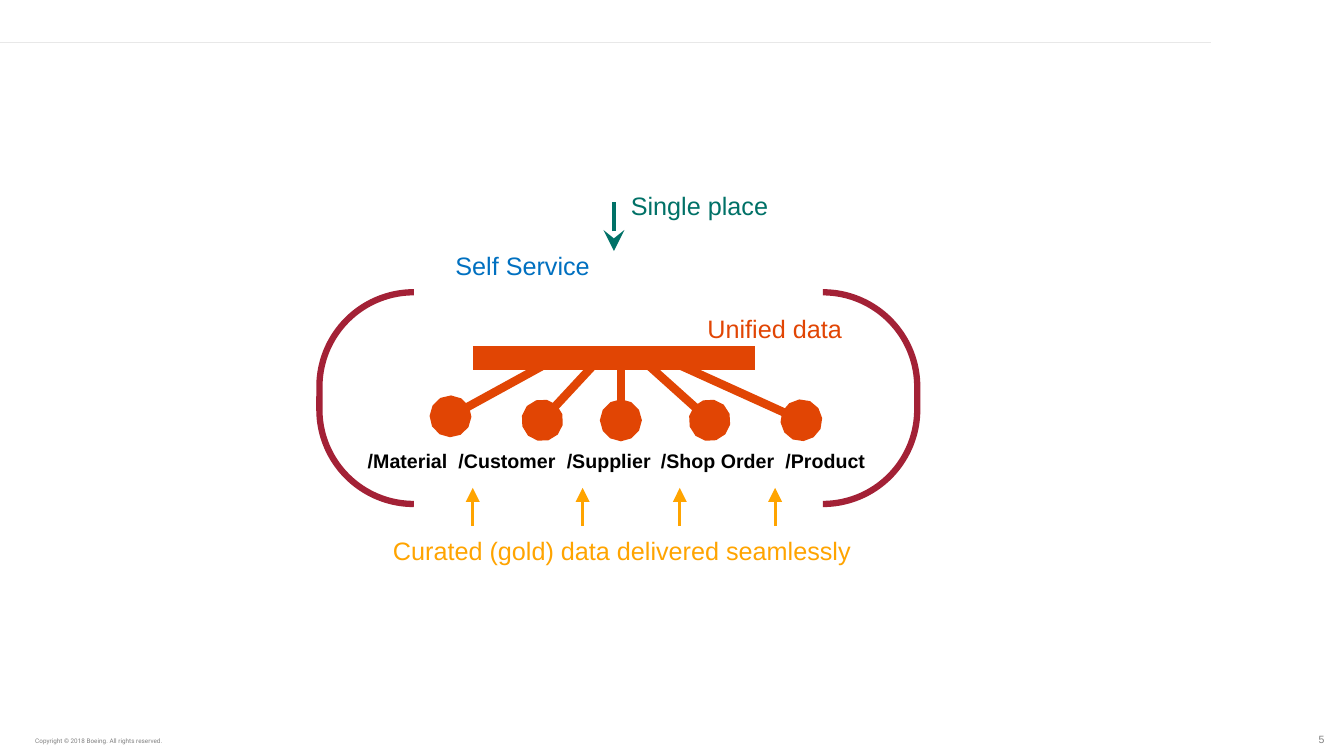
from lxml import etree
from pptx import Presentation
from pptx.dml.color import RGBColor
from pptx.enum.shapes import MSO_CONNECTOR, MSO_SHAPE
from pptx.enum.text import MSO_ANCHOR, MSO_AUTO_SIZE, PP_ALIGN
from pptx.oxml.ns import qn
from pptx.util import Pt

STRAIGHT = MSO_CONNECTOR.STRAIGHT
BRACKET = MSO_SHAPE.DOUBLE_BRACKET
TOP, BOTTOM = MSO_ANCHOR.TOP, MSO_ANCHOR.BOTTOM
LEFT, RIGHT = PP_ALIGN.LEFT, PP_ALIGN.RIGHT
GROW, FIXED = MSO_AUTO_SIZE.SHAPE_TO_FIT_TEXT, MSO_AUTO_SIZE.NONE

SILVER = RGBColor(0xE8, 0xE8, 0xE8)
GRAY = RGBColor(0x80, 0x80, 0x80)
ORANGE = RGBColor(0xE1, 0x45, 0x04)
CRIMSON = RGBColor(0xA3, 0x21, 0x36)
TEAL = RGBColor(0x00, 0x71, 0x67)
BLUE = RGBColor(0x00, 0x70, 0xC0)
GOLD = RGBColor(0xFF, 0xA4, 0x00)
BLACK = RGBColor(0x00, 0x00, 0x00)

BODY = {"name": "Arial", "size": Pt(18)}
LABEL = {"name": "Arial", "size": Pt(14), "bold": True}
LEGAL = {"name": "Roboto", "size": Pt(4.5)}
NUMBER = {"name": "Arial", "size": Pt(7.5)}
SLIM = {f"margin_{side}": Pt(0.72) for side in ("left", "right", "top", "bottom")}
FOOT = {**SLIM, "vertical_anchor": BOTTOM}


def style(item, values):
    for key, value in values.items():
        setattr(item, key, value)


def add_line(slide, start, end, color, width, tip=None, kind=None):
    line = slide.shapes.add_connector(STRAIGHT, *map(Pt, start + end))
    line.line.color.rgb = color
    line.line.width = Pt(width)
    props = line._element.spPr
    if tip:
        mark = etree.SubElement(props.find(qn("a:ln")), qn(f"a:{tip}End"))
        for key, value in {"type": kind, "w": "lg", "len": "lg"}.items():
            mark.set(key, value)
    etree.SubElement(props, qn("a:effectLst"))


def add_text(slide, text, place, color, font, align=LEFT, frame=None, stops=()):
    box = slide.shapes.add_textbox(*map(Pt, place)).text_frame
    base = {"word_wrap": True, "auto_size": GROW, "vertical_anchor": TOP}
    style(box, {**base, **(frame or {})})
    para = box.paragraphs[0]
    para.alignment = align
    if stops:
        tabs = etree.SubElement(para._p.get_or_add_pPr(), qn("a:tabLst"))
        for stop in stops:
            tab = etree.SubElement(tabs, qn("a:tab"))
            tab.set("pos", str(Pt(stop)))
            tab.set("algn", "l")
    run = para.add_run()
    run.text = text
    style(run.font, font)
    run.font.color.rgb = color


def add_bracket(slide, place):
    pair = slide.shapes.add_shape(BRACKET, *map(Pt, place))
    pair.adjustments[0] = 0.446
    pair.shadow.inherit = False
    pair.fill.background()
    pair.line.color.rgb = CRIMSON
    pair.line.width = Pt(4.5)


def add_hub(slide):
    nodes = [
        (321.8, 297.4, 387.4, 261.4),
        (387.4, 300.2, 423.4, 261.4),
        (443.5, 300.2, 443.5, 264.2),
        (506.9, 300.2, 463.7, 261.4),
        (572.4, 300.2, 486.7, 261.4),
    ]
    for x, y, right, top in nodes:
        add_line(slide, (x, y), (right, top), ORANGE, 6, "head", "oval")
    add_line(slide, (337.7, 255.6), (539.3, 255.6), ORANGE, 17.5)


def main():
    deck = Presentation()
    style(deck, {"slide_width": Pt(960), "slide_height": Pt(540)})
    slide = deck.slides.add_slide(deck.slide_layouts[6])

    add_line(slide, (864.7, 30.2), (0, 30.2), SILVER, 1)
    add_text(slide, "Copyright © 2018 Boeing. All rights reserved.",
             (24.5, 526.3, 162.7, 6.5), GRAY, LEGAL, frame=FOOT)
    add_text(slide, "5", (806.4, 514.1, 140.4, 19.4), GRAY, NUMBER, RIGHT,
             {**FOOT, "auto_size": FIXED})

    add_bracket(slide, (228.2, 208.8, 427, 151.2))
    add_hub(slide)
    add_line(slide, (438.5, 179.3), (438.5, 144), TEAL, 3, "head", "stealth")

    names = ["/Material", "/Customer", "/Supplier", "/Shop Order", "/Product"]
    add_text(slide, "\t".join(names), (255.6, 316.8, 376, 24.5), BLACK, LABEL,
             stops=(64.8, 142.2, 209.4, 298.4))

    notes = [
        ("Unified data", (498.2, 220.3, 111.6, 28.8), ORANGE),
        ("Single place", (443.5, 132.5, 121, 28.8), TEAL),
        ("Self Service", (318.2, 175, 121, 28.8), BLUE),
        ("Curated (gold) data delivered seamlessly",
         (273.6, 378.7, 380.2, 28.8), GOLD),
    ]
    for text, place, color in notes:
        add_text(slide, text, place, color, BODY)

    for x in (337.7, 416.2, 485.6, 553.7):
        add_line(slide, (x, 375.8), (x, 348.5), GOLD, 2, "tail", "triangle")

    deck.save("out.pptx")


if __name__ == "__main__":
    main()
